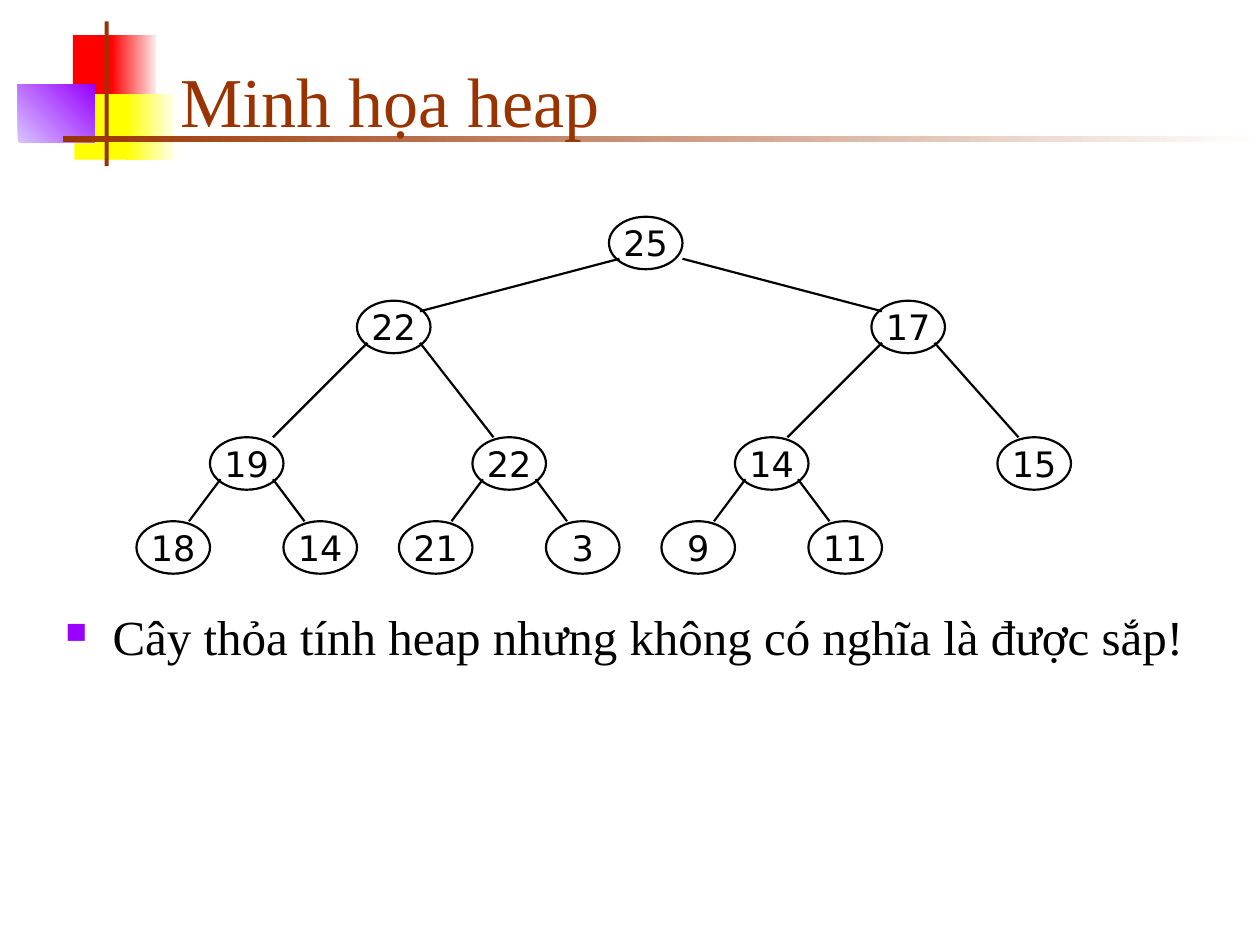
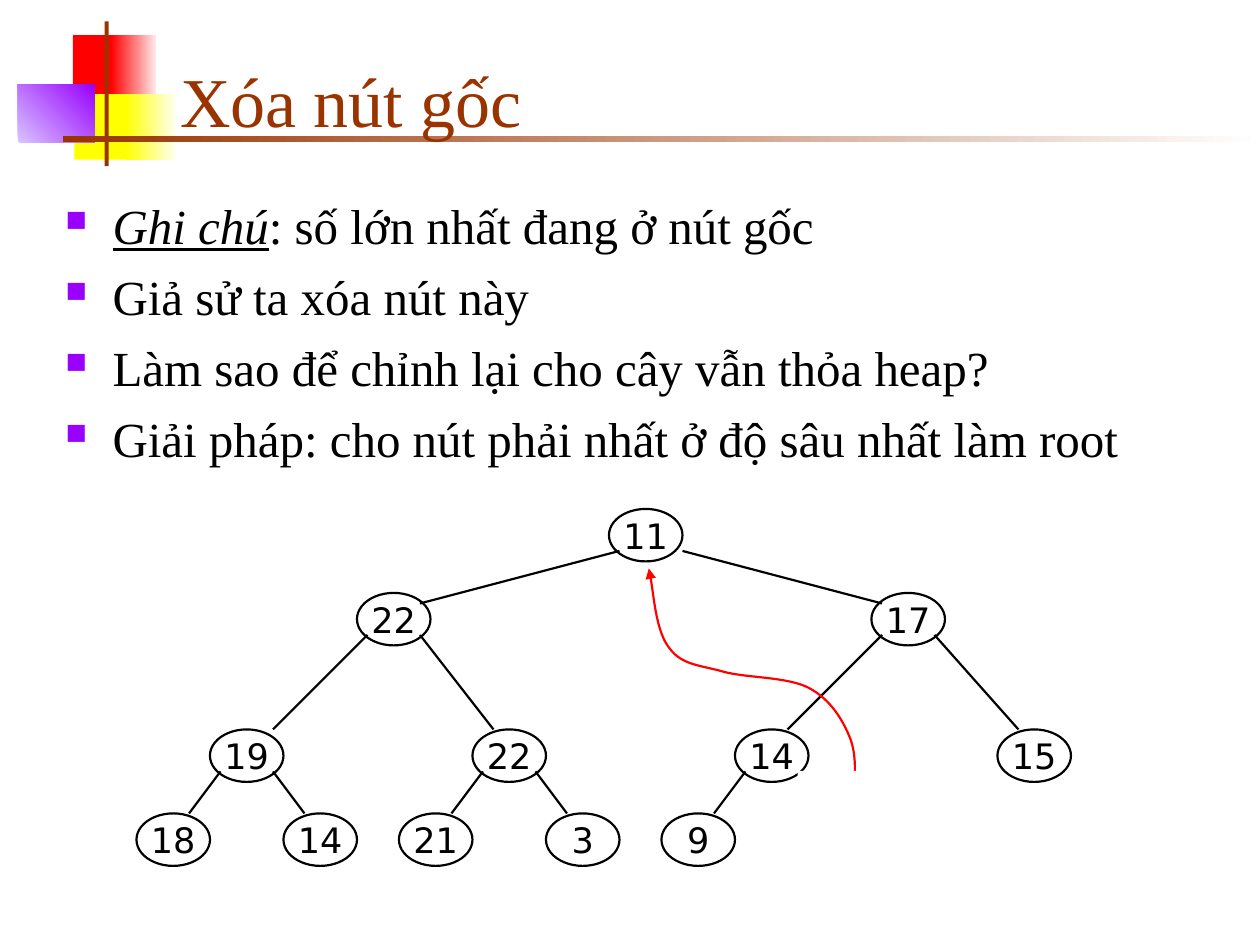
"""Build two slides about heaps: an example tree and the removal of its root."""
from lxml.etree import SubElement
from pptx import Presentation
from pptx.dml.color import RGBColor
from pptx.enum.shapes import MSO_CONNECTOR, MSO_SHAPE
from pptx.enum.text import MSO_ANCHOR, PP_ALIGN
from pptx.oxml.ns import qn
from pptx.util import Cm, Pt

BLACK = RGBColor(0x00, 0x00, 0x00)
WHITE = RGBColor(0xFF, 0xFF, 0xFF)
RED = RGBColor(0xFF, 0x00, 0x00)
PINK = RGBColor(0xFF, 0xEA, 0xEA)
YELLOW = RGBColor(0xFF, 0xFF, 0x00)
CREAM = RGBColor(0xFF, 0xFF, 0xF8)
LILAC = RGBColor(0xD8, 0xC4, 0xFF)
PURPLE = RGBColor(0x99, 0x00, 0xFF)
BROWN = RGBColor(0x99, 0x33, 0x00)

TEXT_FONT = "Times New Roman"
NODE_FONT = "DejaVu Sans"
LINE_WIDTH = Pt(1.25)

# left, top, width, height, colours, gradient angle
BANDS = [
    (1.47, 0.71, 0.89, 1.32, [RED], 0),
    (2.24, 0.71, 0.91, 1.32, [RED, PINK], 0),
    (1.5, 1.9, 1.17, 1.32, [YELLOW], 0),
    (2.54, 1.9, 1.02, 1.32, [YELLOW, CREAM], 0),
    (0.36, 1.7, 1.55, 1.17, [LILAC, PURPLE], 45),
    (2.11, 0.43, 0.08, 2.92, [BROWN], 0),
    (1.27, 2.74, 24.13, 0.13, [BROWN, WHITE], 0),
]

SLIDES = [
    {
        "title": "Minh họa heap",
        "bullets": [("", "Cây thỏa tính heap nhưng không có nghĩa là được sắp!")],
        "bullets_top": 12.11,
        "heap": [25, 22, 17, 19, 22, 14, 15, 18, 14, 21, 3, 9, 11],
        "heap_top": 4.37,
    },
    {
        "title": "Xóa nút gốc",
        "bullets": [
            ("Ghi chú", ": số lớn nhất đang ở nút gốc"),
            ("", "Giả sử ta xóa nút này"),
            ("", "Làm sao để chỉnh lại cho cây vẫn thỏa heap?"),
            ("", "Giải pháp: cho nút phải nhất ở độ sâu nhất làm root"),
        ],
        "bullets_top": 3.81,
        "heap": [11, 22, 17, 19, 22, 14, 15, 18, 14, 21, 3, 9],
        "heap_top": 10.26,
    },
]

GRID = Cm(2.54) // 12
NODE_WIDTH, NODE_HEIGHT = 7, 5
NODE_COLUMNS = [58, 34, 83, 20, 45, 70, 95, 13, 27, 38, 52, 63, 77]
LEVEL_ROWS = [0, 8, 21, 29]
LEFT_EDGE, RIGHT_EDGE = (1, 5, 0), (6, 2, 0)
SPECIAL_EDGES = {2: (1, 6, 1), 3: (7, 1, 1), 4: (1, 6, 0)}

MOVE_CURVE = [
    (17.15, 16.41),
    (17.22, 15.88), (17.3, 15.34), (17.15, 14.91),
    (16.99, 14.5), (16.74, 14.1), (16.31, 13.87),
    (15.88, 13.64), (15.04, 13.67), (14.58, 13.54),
    (14.12, 13.41), (13.74, 13.41), (13.49, 13.06),
    (13.23, 12.73), (13.16, 11.79), (13.08, 11.46),
]
REMOVED_NODE = (16.08, 15.54, 2.11, 2.11)


def style_font(font, name, size, color):
    font.name, font.size = name, Pt(size)
    font.color.rgb = color


def add_block(slide, left, top, width, height, colors, angle=0):
    block = slide.shapes.add_shape(
        MSO_SHAPE.RECTANGLE, Cm(left), Cm(top), Cm(width), Cm(height))
    block.shadow.inherit = False
    block.line.fill.background()
    if len(colors) == 1:
        block.fill.solid()
        block.fill.fore_color.rgb = colors[0]
    else:
        block.fill.gradient()
        block.fill.gradient_angle = angle
        for stop, color in zip(block.fill.gradient_stops, colors):
            stop.color.rgb = color


def add_title(slide, title):
    box = slide.shapes.add_textbox(Cm(3.38), Cm(0.64), Cm(21.64), Cm(2.34))
    frame = box.text_frame
    frame.word_wrap = True
    frame.vertical_anchor = MSO_ANCHOR.BOTTOM
    frame.text = title
    style_font(frame.paragraphs[0].runs[0].font, TEXT_FONT, 40, BROWN)


def add_bullet_mark(para):
    properties = para._p.get_or_add_pPr()
    properties.set("marL", str(Cm(0.95)))
    properties.set("indent", str(-Cm(0.95)))
    color = SubElement(properties, qn("a:buClr"))
    SubElement(color, qn("a:srgbClr"), val=str(PURPLE))
    SubElement(properties, qn("a:buSzPct"), val="60000")
    SubElement(properties, qn("a:buChar"), char="■")


def add_bullets(slide, bullets, top):
    box = slide.shapes.add_textbox(Cm(1.07), Cm(top), Cm(23.83), Cm(17.04 - top))
    frame = box.text_frame
    frame.word_wrap = True
    for index, (note, text) in enumerate(bullets):
        para = frame.add_paragraph() if index else frame.paragraphs[0]
        para.space_before = Pt(7)
        add_bullet_mark(para)
        for part in filter(None, (note, text)):
            span = para.add_run()
            span.text = part
            style_font(span.font, TEXT_FONT, 28, BLACK)
            span.font.italic = span.font.underline = part == note


def add_node(slide, value, left, top):
    node = slide.shapes.add_shape(
        MSO_SHAPE.OVAL, left, top, NODE_WIDTH * GRID, NODE_HEIGHT * GRID)
    node.shadow.inherit = False
    node.fill.background()
    node.line.color.rgb = BLACK
    node.line.width = LINE_WIDTH
    frame = node.text_frame
    frame.word_wrap = False
    frame.vertical_anchor = MSO_ANCHOR.MIDDLE
    frame.text = str(value)
    para = frame.paragraphs[0]
    para.alignment = PP_ALIGN.CENTER
    style_font(para.runs[0].font, NODE_FONT, 20, BLACK)


def add_edge(slide, *ends):
    edge = slide.shapes.add_connector(MSO_CONNECTOR.STRAIGHT, *ends)
    edge.line.color.rgb = BLACK
    edge.line.width = LINE_WIDTH
    SubElement(edge._element.spPr, qn("a:effectLst"))


def add_heap(slide, values, top):
    places = {}
    for number, (value, column) in enumerate(zip(values, NODE_COLUMNS), start=1):
        row = LEVEL_ROWS[number.bit_length() - 1]
        left, node_top = places[number] = column * GRID, Cm(top) + row * GRID
        add_node(slide, value, left, node_top)
        if number > 1:
            parent_left, parent_top = places[number // 2]
            usual_edge = RIGHT_EDGE if number % 2 else LEFT_EDGE
            start, end, drop = SPECIAL_EDGES.get(number, usual_edge)
            add_edge(slide, parent_left + start * GRID, parent_top + 4 * GRID,
                     left + end * GRID, node_top + drop * GRID)


def add_move_arrow(slide):
    first, *others = [(Cm(x), Cm(y)) for x, y in MOVE_CURVE]
    builder = slide.shapes.build_freeform(*first)
    builder.add_line_segments(others, close=False)
    arrow = builder.convert_to_shape()
    arrow.shadow.inherit = False
    arrow.fill.background()
    arrow.line.color.rgb = RED
    arrow.line.width = LINE_WIDTH
    SubElement(arrow.line._get_or_add_ln(), qn("a:tailEnd"), type="triangle")
    outline = arrow._element.xpath(".//a:path")[0]
    for index, segment in enumerate(outline.findall(qn("a:lnTo"))):
        if index % 3 == 0:
            curve = SubElement(outline, qn("a:cubicBezTo"))
        curve.append(segment[0])
        outline.remove(segment)


deck = Presentation()
deck.slide_width, deck.slide_height = Cm(25.4), Cm(19.05)
for content in SLIDES:
    page = deck.slides.add_slide(deck.slide_layouts[6])
    for band in BANDS:
        add_block(page, *band)
    add_title(page, content["title"])
    add_bullets(page, content["bullets"], content["bullets_top"])
    add_heap(page, content["heap"], content["heap_top"])
add_move_arrow(page)
add_block(page, *REMOVED_NODE, [WHITE])
deck.save("out.pptx")
